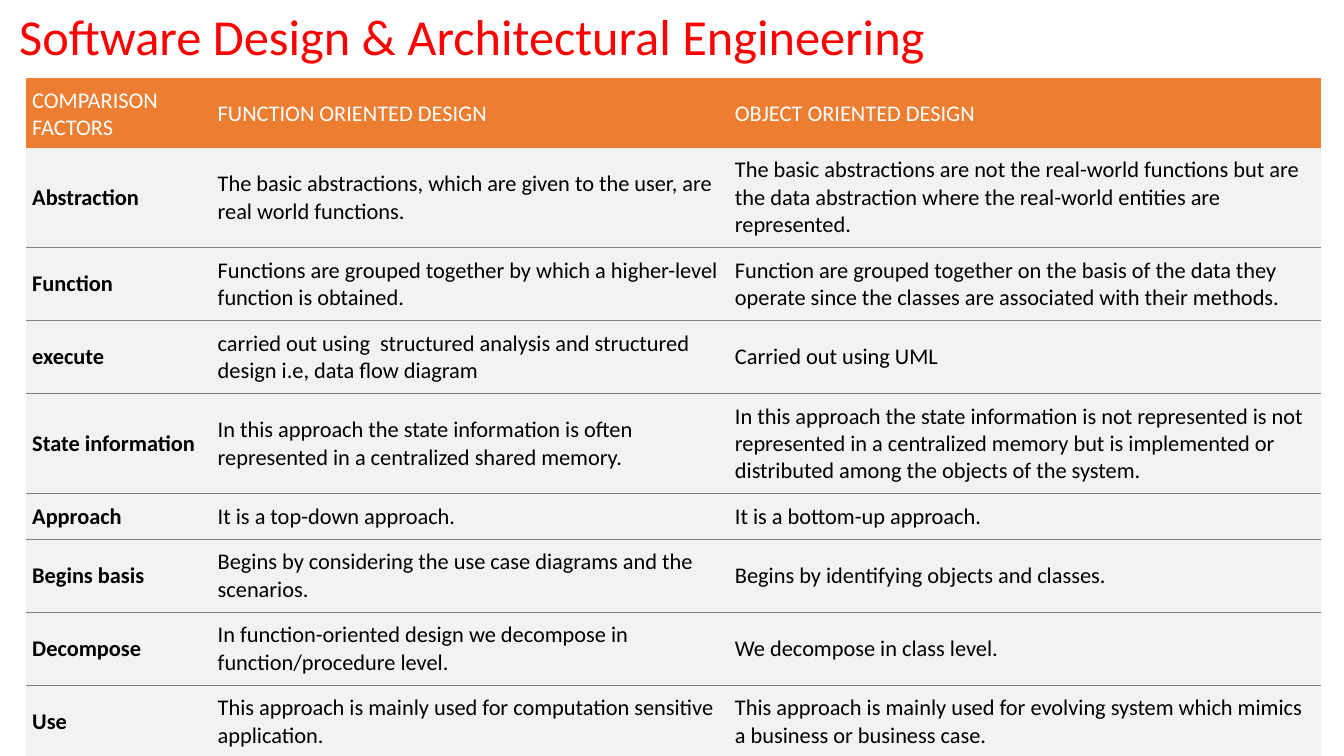
from lxml import etree
from pptx import Presentation
from pptx.dml.color import RGBColor
from pptx.enum import text as txt
from pptx.oxml import ns
from pptx.util import Inches, Pt

FONT = "Calibri"
HEAD = ["COMPARISON FACTORS", "FUNCTION ORIENTED DESIGN", "OBJECT ORIENTED DESIGN"]
# Each row: number of text lines, then the three cells
ROWS = [
    (3, "Abstraction",
     "The basic abstractions, which are given to the user, are real world functions.",
     "The basic abstractions are not the real-world functions but are the data "
     "abstraction where the real-world entities are represented."),
    (2, "Function",
     "Functions are grouped together by which a higher-level function is obtained.",
     "Function are grouped together on the basis of the data they operate since the "
     "classes are associated with their methods."),
    (2, "execute",
     "carried out using  structured analysis and structured design i.e, data flow diagram",
     "Carried out using UML"),
    (3, "State information",
     "In this approach the state information is often represented in a centralized "
     "shared memory.",
     "In this approach the state information is not represented is not represented in a "
     "centralized memory but is implemented or distributed among the objects of the system."),
    (1, "Approach", "It is a top-down approach.", "It is a bottom-up approach."),
    (2, "Begins basis",
     "Begins by considering the use case diagrams and the scenarios.",
     "Begins by identifying objects and classes."),
    (2, "Decompose",
     "In function-oriented design we decompose in function/procedure level.",
     "We decompose in class level."),
    (2, "Use",
     "This approach is mainly used for computation sensitive application.",
     "This approach is mainly used for evolving system which mimics a business or "
     "business case."),
]
WIDTHS = [1.84, 5.13, 5.87]
LINE, PAD = 0.27, 0.09


def color(code):
    return RGBColor.from_string(code)


def style(par, size, code, bold=False):
    font = par.font
    font.name, font.size, font.bold = FONT, Pt(size), bold
    font.color.rgb = color(code)


def add_title(slide, words):
    title = slide.shapes.title
    title.left, title.top = Inches(0.09), Inches(0)
    title.width, title.height = Inches(9.34), Inches(0.77)
    frame = title.text_frame
    frame.text = words
    frame.vertical_anchor = txt.MSO_ANCHOR.MIDDLE
    par = frame.paragraphs[0]
    par.alignment = txt.PP_ALIGN.LEFT
    par.line_spacing = 0.9
    style(par, 36, "FF0000")


def set_edges(cell, lines):
    """Rule the sides given as {side: colour}; clear the others."""
    props = cell._tc.get_or_add_tcPr()
    for pos, side in enumerate("LRTB"):
        edge = etree.Element(ns.qn("a:ln" + side), w=str(Pt(0.75)))
        if side in lines:
            fill = etree.SubElement(edge, ns.qn("a:solidFill"))
            etree.SubElement(fill, ns.qn("a:srgbClr"), val=lines[side])
        else:
            etree.SubElement(edge, ns.qn("a:noFill"))
        props.insert(pos, edge)


def fill_cell(cell, words, back, fore, bold=False, foot=PAD):
    cell.text = words
    cell.vertical_anchor = txt.MSO_ANCHOR.MIDDLE
    cell.margin_left = cell.margin_right = Inches(0.06)
    cell.margin_top, cell.margin_bottom = Inches(PAD), Inches(foot)
    cell.fill.solid()
    cell.fill.fore_color.rgb = color(back)
    style(cell.text_frame.paragraphs[0], 16, fore, bold)


def add_grid(slide):
    high = [0.69] + [row[0] * LINE + 2 * PAD for row in ROWS]
    frame = slide.shapes.add_table(
        len(high), len(WIDTHS), Inches(0.26), Inches(0.77),
        Inches(sum(WIDTHS)), Inches(sum(high)))
    table = frame.table
    table.horz_banding = table.first_row = False
    for col, width in zip(table.columns, WIDTHS):
        col.width = Inches(width)
    for row, height in zip(table.rows, high):
        row.height = Inches(height)
    for cell, words in zip(table.rows[0].cells, HEAD):
        fill_cell(cell, words, "ED7D31", "FFFFFF", foot=0.06)
        set_edges(cell, {})
    last = len(ROWS)
    for num, (_, *cells) in enumerate(ROWS, 1):
        sides = ("T" if num > 1 else "") + ("B" if num < last else "")
        for pos, words in enumerate(cells):
            cell = table.cell(num, pos)
            fill_cell(cell, words, "F2F2F2", "000000", bold=pos == 0)
            set_edges(cell, dict.fromkeys(sides, "808080"))


def main():
    deck = Presentation()
    deck.slide_width, deck.slide_height = Inches(13.33), Inches(7.5)
    slide = deck.slides.add_slide(deck.slide_layouts[5])
    add_grid(slide)
    add_title(slide, "Software Design & Architectural Engineering")
    deck.save("out.pptx")


if __name__ == "__main__":
    main()
